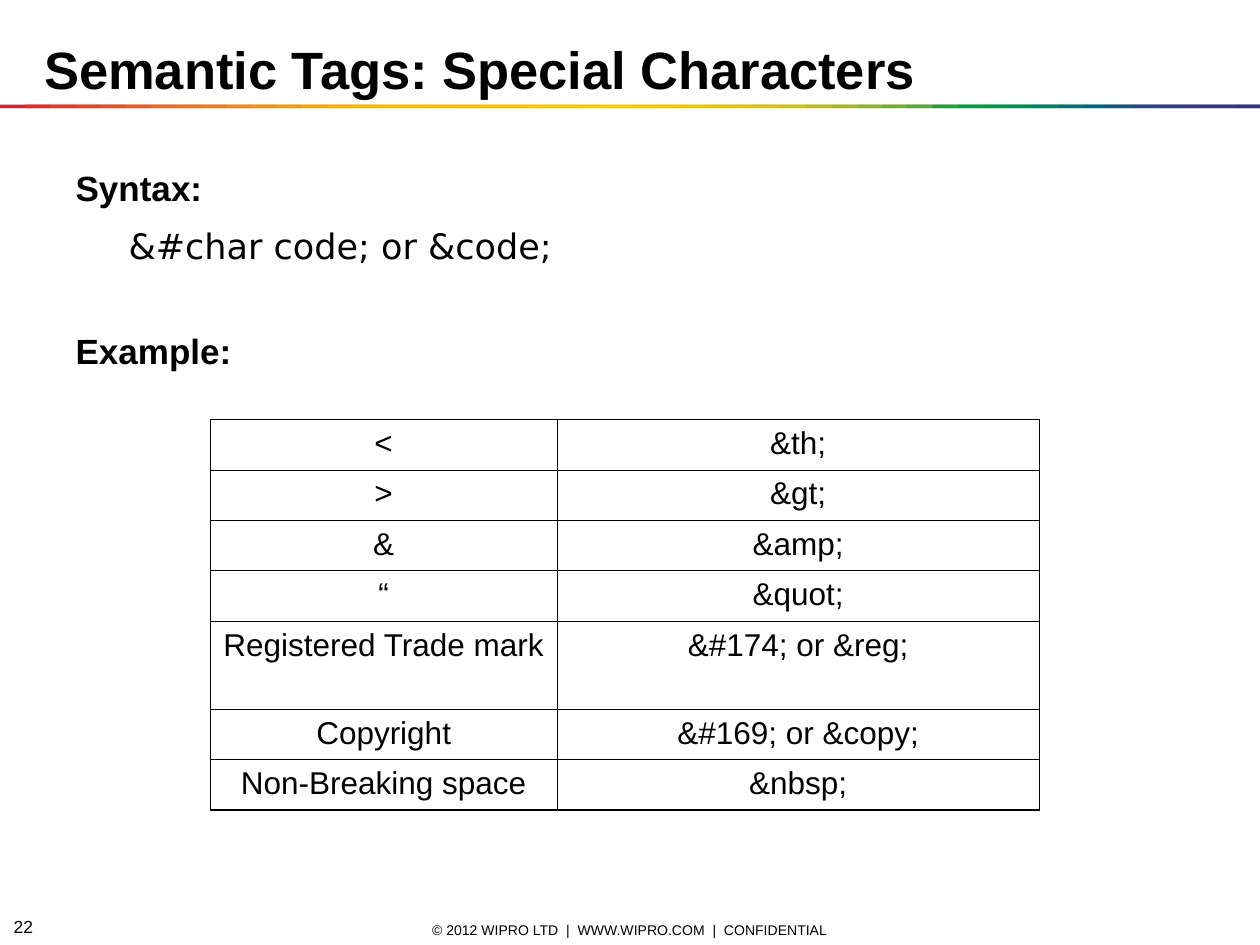
from lxml.etree import SubElement
from pptx import Presentation
from pptx.dml.color import RGBColor
from pptx.enum.shapes import MSO_SHAPE as Shape
from pptx.enum.text import MSO_ANCHOR as Anchor, MSO_AUTO_SIZE as AutoSize, PP_ALIGN as Align
from pptx.oxml.ns import qn
from pptx.util import Inches, Pt

presentation = Presentation()
presentation.slide_width, presentation.slide_height = Inches(10), Inches(7.5)
column = presentation.slide_width / 100
row = presentation.slide_height / 75
slide = presentation.slides.add_slide(presentation.slide_layouts[1])
shapes = slide.shapes


def area(left, top, width, height):
    return [round(size) for size in (left * column, top * row, width * column, height * row)]


def format_text(paragraph, points, color="000000", name="Arial", bold=False, align=Align.LEFT):
    paragraph.alignment = align
    paragraph.font.color.rgb = RGBColor.from_string(color)
    values = {"size": Pt(points), "name": name, "bold": bold}
    for attribute, value in values.items():
        setattr(paragraph.font, attribute, value)


stripe_colors = """
E31E24 E42C24 E53A24 E74623 E85122 EA5D21 EC691F EE741D EF7E1A F18817
F39314 F49C0F F6A607 F8B002 FBBA00 FBBB00 FBBD00 FCBF00 FCC000 FCC200
FDC400 FDC600 FDC700 FEC900 FECB00 FBCB00 F3CA00 ECC800 E4C602 DCC50A
D5C30E CCC117 B8BC21 A3B829 8CB230 71AD36 51A73B 1DA240 009D43 009846
008C57 008068 007275 00637F 185384 2E4285 313E85 333B85 353885 393185
""".split()
rainbow = shapes.add_group_shape()
for index, color in enumerate(stripe_colors):
    left = index * 2
    stripe = rainbow.shapes.add_shape(Shape.RECTANGLE, *area(left, 8.3, min(4, 100 - left), 0.3))
    stripe.shadow.inherit = False
    stripe.fill.solid()
    stripe.fill.fore_color.rgb = RGBColor.from_string(color)
    stripe.line.fill.background()

title, body = shapes.title, slide.placeholders[1]
for placeholder, place in ((title, (2.5, 2.4, 81.7, 6)), (body, (5, 12.5, 90, 56.3))):
    values = dict(zip(("left", "top", "width", "height"), area(*place)))
    for attribute, value in values.items():
        setattr(placeholder, attribute, value)
    placeholder.text_frame.auto_size = AutoSize.NONE
title.text_frame.text = "Semantic Tags: Special Characters"
title.text_frame.vertical_anchor = Anchor.MIDDLE
format_text(title.text_frame.paragraphs[0], 30, bold=True)

body.text_frame.margin_top = Inches(0.07)
body_lines = [
    ("Syntax:", 0, 0, "Arial", True),
    ("&#char code; or &code;", 0.42, 9, "DejaVu Sans", False),
    ("Example:", 0, 36, "Arial", True),
]
body.text_frame.text = "\n".join(line[0] for line in body_lines)
for paragraph, (text, indent, gap, name, bold) in zip(body.text_frame.paragraphs, body_lines):
    properties = paragraph._p.get_or_add_pPr()
    properties.set("marL", str(Inches(indent)))
    properties.set("indent", "0")
    paragraph.space_before = Pt(gap)
    SubElement(properties, qn("a:buNone"))
    format_text(paragraph, 20, name=name, bold=bold)

entities = [
    ("<", "&th;"),
    (">", "&gt;"),
    ("&", "&amp;"),
    ("“", "&quot;"),
    ("Registered Trade mark", "&#174; or &reg;"),
    ("Copyright", "&#169; or &copy;"),
    ("Non-Breaking space", "&nbsp;"),
]
last = len(entities) - 1
table = shapes.add_table(len(entities), 2, *area(16.7, 33.3, 65.8, 31)).table
table.first_row = table.horz_banding = False
for table_column, width in zip(table.columns, (27.5, 38.3)):
    table_column.width = round(width * column)
for y, entity in enumerate(entities):
    table.rows[y].height = round((7 if y == 4 else 4) * row)
    for x, text in enumerate(entity):
        cell = table.cell(y, x)
        cell.text = text
        format_text(cell.text_frame.paragraphs[0], 18, align=Align.CENTER)
        outer_edges = {"lnL": x == 0, "lnR": x == 1, "lnT": y == 0, "lnB": y == last}
        for edge, outer in outer_edges.items():
            width = Pt(1.08 if outer else 0.45)
            line = SubElement(cell._tc.get_or_add_tcPr(), qn(f"a:{edge}"), w=str(width))
            SubElement(SubElement(line, qn("a:solidFill")), qn("a:srgbClr"), val="000000")
        cell.fill.background()

footers = [
    ("© 2012 WIPRO LTD  |  WWW.WIPRO.COM  |  CONFIDENTIAL", (33, 72.8, 34, 2), 8, Align.CENTER),
    ("22", (0.1, 72.7, 3.9, 1.6), 10, Align.LEFT),
]
for text, place, points, align in footers:
    frame = shapes.add_textbox(*area(*place)).text_frame
    frame.word_wrap = True
    frame.vertical_anchor = Anchor.MIDDLE
    frame.text = text
    format_text(frame.paragraphs[0], points, align=align)

presentation.save("out.pptx")
